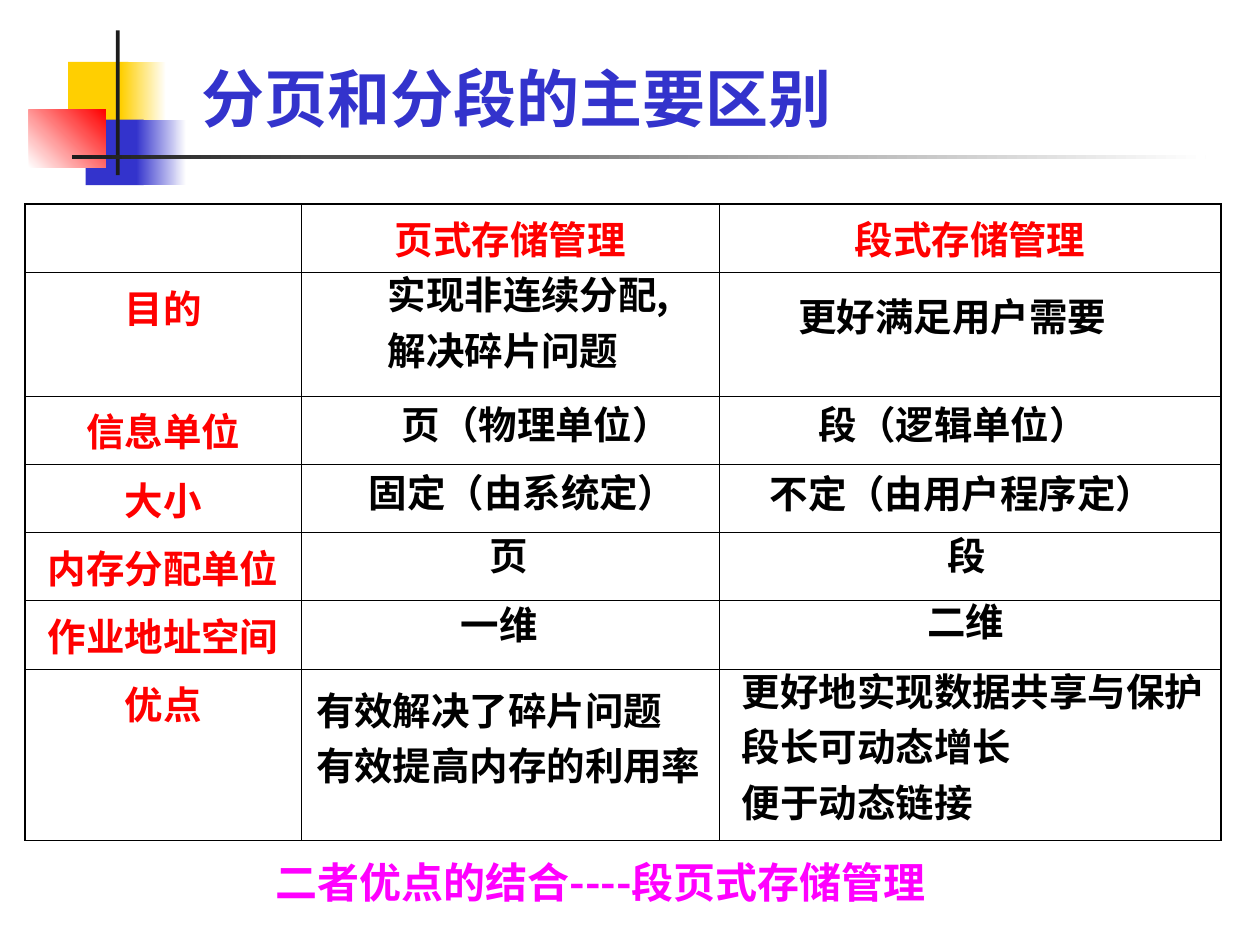
import pptx
import pptx.dml.color
import pptx.enum.shapes
import pptx.enum.text
import pptx.oxml.ns
import pptx.util
from lxml import etree
from pptx.util import Inches

FONT = "Noto Sans CJK SC"
COLORS = {
    "yellow": "FFCF01", "blue": "3333CC", "red": "FF0000", "white": "FFFFFF",
    "dark": "1C1C1C", "black": "000000", "magenta": "FF00FF",
}


def rgb(name):
    return pptx.dml.color.RGBColor.from_string(COLORS[name])


def write_lines(frame, lines, size, color, align=None):
    for index, line in enumerate(lines):
        paragraph = frame.paragraphs[0] if index == 0 else frame.add_paragraph()
        paragraph.text = line
        paragraph.alignment = align
        if index:
            paragraph.space_before = pptx.util.Pt(5.5)
        font = paragraph.font
        font.size, font.bold, font.name = pptx.util.Pt(size), True, FONT
        font.color.rgb = rgb(color)
        # East Asian text takes its typeface from a:ea
        latin = paragraph._p.pPr.find(".//" + pptx.oxml.ns.qn("a:latin"))
        east_asian = etree.Element(pptx.oxml.ns.qn("a:ea"), typeface=FONT)
        latin.addnext(east_asian)


presentation = pptx.Presentation()
presentation.slide_width, presentation.slide_height = Inches(10), Inches(7.5)
slide = presentation.slides.add_slide(presentation.slide_layouts[6])

# Decoration: left, top, width, height, start colour, end colour, angle
decoration = [
    (0.54, 0.49, 0.48, 0.52, "yellow", None, 0),
    (0.96, 0.49, 0.36, 0.52, "yellow", "white", 0),
    (0.68, 0.95, 0.46, 0.52, "blue", None, 0),
    (1.08, 0.95, 0.40, 0.52, "blue", "white", 0),
    (0.23, 0.87, 0.61, 0.46, "white", "red", 45),
    (0.92, 0.24, 0.03, 1.15, "dark", None, 0),
    (0.57, 1.23, 9.00, 0.03, "dark", "white", 0),
]
for *box, start, end, angle in decoration:
    shape = slide.shapes.add_shape(
        pptx.enum.shapes.MSO_SHAPE.RECTANGLE, *map(Inches, box))
    shape.shadow.inherit = False
    shape.line.fill.background()
    if end is None:
        shape.fill.solid()
        shape.fill.fore_color.rgb = rgb(start)
    else:
        shape.fill.gradient()
        shape.fill.gradient_angle = angle
        for stop, color in zip(shape.fill.gradient_stops, (start, end)):
            stop.color.rgb = rgb(color)

# Table with row and column headings
column_widths = [2.19, 3.32, 3.98]
row_heights = [0.54, 0.98, 0.54, 0.54, 0.54, 0.54, 1.36]
column_heads = ["", "页式存储管理", "段式存储管理"]
row_heads = ["", "目的", "信息单位", "大小", "内存分配单位", "作业地址空间", "优点"]
last_row, last_column = len(row_heads) - 1, len(column_heads) - 1
table = slide.shapes.add_table(
    len(row_heads), len(column_heads), Inches(0.2), Inches(1.62),
    Inches(sum(column_widths)), Inches(sum(row_heights))).table
table.first_row = table.horz_banding = False
for column, width in zip(table.columns, column_widths):
    column.width = Inches(width)
for row, height in zip(table.rows, row_heights):
    row.height = Inches(height)

for r, row_head in enumerate(row_heads):
    for c, column_head in enumerate(column_heads):
        cell = table.cell(r, c)
        heading = column_head if r == 0 else row_head if c == 0 else ""
        if heading:
            write_lines(cell.text_frame, [heading], 22, "red",
                        pptx.enum.text.PP_ALIGN.CENTER)
        # Outer borders are thicker than inner ones
        properties = cell._tc.get_or_add_tcPr()
        outer_edges = {"L": c == 0, "R": c == last_column,
                       "T": r == 0, "B": r == last_row}
        for side, is_outer in outer_edges.items():
            width = pptx.util.Pt(1.08 if is_outer else 0.45)
            border = etree.SubElement(
                properties, pptx.oxml.ns.qn("a:ln" + side), w=str(int(width)))
            fill = etree.SubElement(border, pptx.oxml.ns.qn("a:solidFill"))
            etree.SubElement(fill, pptx.oxml.ns.qn("a:srgbClr"), val=COLORS["black"])
        cell.fill.background()

# Title
title = slide.shapes.add_textbox(*map(Inches, (1.5, 0.36, 6.41, 0.76))).text_frame
title.word_wrap = True
title.vertical_anchor = pptx.enum.text.MSO_ANCHOR.BOTTOM
write_lines(title, ["分页和分段的主要区别"], 36, "blue")

# Closing line
closing = slide.shapes.add_textbox(*map(Inches, (2.09, 6.75, 6.33, 0.5))).text_frame
closing.word_wrap = True
write_lines(closing, ["二者优点的结合----段页式存储管理"], 24, "magenta")

# Table entries, in boxes that grow with their text
entries = [
    (2.98, 2.10, 2.59, 0.91, ["实现非连续分配,", "解决碎片问题"]),
    (6.24, 2.28, 2.64, 0.47, ["更好满足用户需要"]),
    (3.09, 3.13, 2.36, 0.47, ["页（物理单位）"]),
    (6.40, 3.13, 2.36, 0.47, ["段（逻辑单位）"]),
    (2.83, 3.67, 2.64, 0.47, ["固定（由系统定）"]),
    (6.01, 3.68, 3.25, 0.47, ["不定（由用户程序定）"]),
    (3.79, 4.17, 0.50, 0.47, ["页"]),
    (7.42, 4.17, 0.50, 0.47, ["段"]),
    (3.56, 4.72, 0.81, 0.47, ["一维"]),
    (7.26, 4.70, 0.81, 0.47, ["二维"]),
    (2.41, 5.40, 3.25, 0.91, ["有效解决了碎片问题", "有效提高内存的利用率"]),
    (5.79, 5.25, 3.86, 1.36, ["更好地实现数据共享与保护", "段长可动态增长", "便于动态链接"]),
]
for *box, lines in entries:
    frame = slide.shapes.add_textbox(*map(Inches, box)).text_frame
    frame.word_wrap = False
    frame.auto_size = pptx.enum.text.MSO_AUTO_SIZE.SHAPE_TO_FIT_TEXT
    write_lines(frame, lines, 22, "black")

presentation.save("out.pptx")
